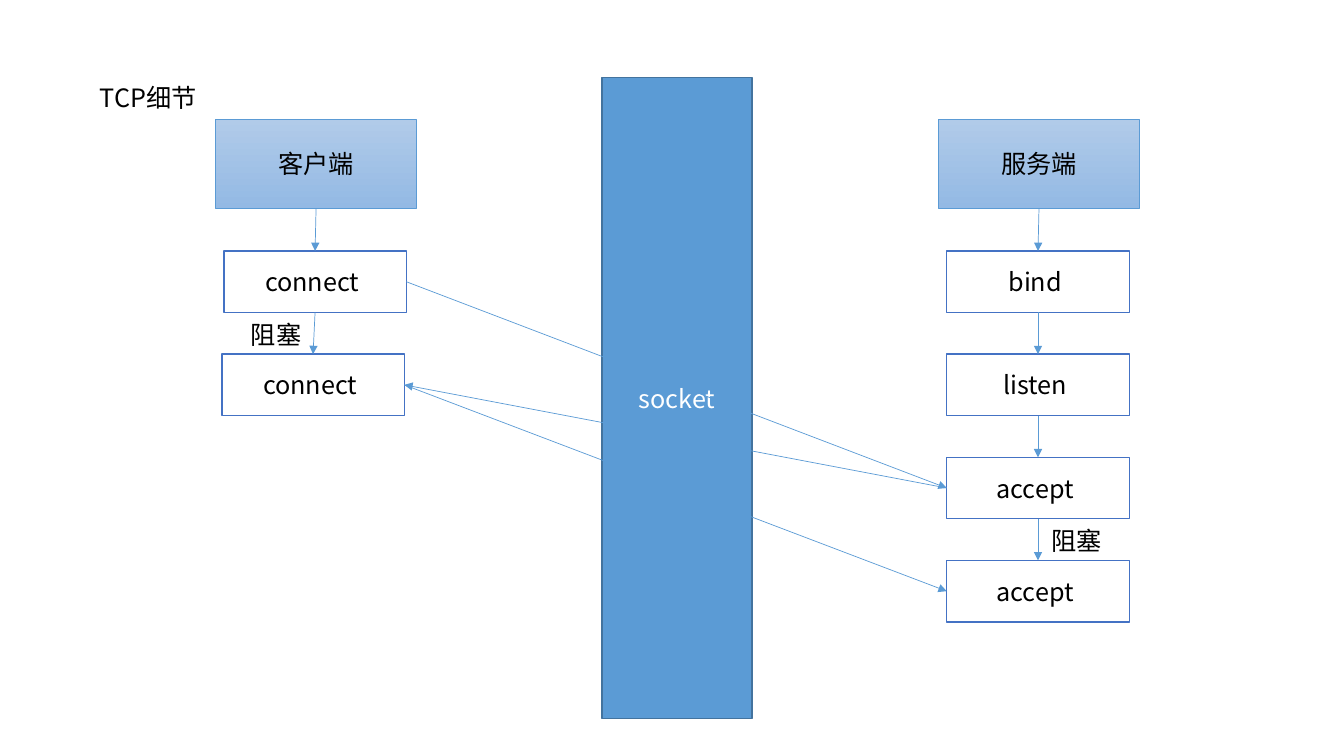
from collections import namedtuple
from dataclasses import dataclass
from lxml import etree
from pptx import Presentation
from pptx import util as u
from pptx.dml.color import RGBColor
from pptx.enum import shapes, text
from pptx.oxml.ns import qn

Box = namedtuple("Box", "left top width height")
TOP, LEFT, BOTTOM, RIGHT = range(4)


@dataclass(frozen=True)
class Theme:
    font: str = "Noto Sans CJK SC"
    size: int = 18
    ink: str = "000000"
    paper: str = "FFFFFF"
    accent: str = "5B9BD5"
    socket_edge: str = "43739E"
    step_edge: str = "4472C4"
    header_top: str = "B1CBE9"
    header_bottom: str = "93B9E4"
    thin: float = 0.5
    medium: float = 1


THEME = Theme()


def colour(code):
    return RGBColor.from_string(code)


def lengths(box):
    return [u.Inches(value) for value in box]


def write(frame, wording, ink=THEME.ink, align=text.PP_ALIGN.LEFT):
    frame.word_wrap = True
    para = frame.paragraphs[0]
    para.alignment = align
    span = para.add_run()
    span.text = wording
    span.font.size = u.Pt(THEME.size)
    span.font.name = THEME.font
    span.font.color.rgb = colour(ink)
    properties = span.font._element
    etree.SubElement(properties, qn("a:ea")).set("typeface", THEME.font)


def add_label(page, box, wording):
    label = page.shapes.add_textbox(*lengths(box))
    write(label.text_frame, wording)
    label.text_frame.auto_size = text.MSO_AUTO_SIZE.SHAPE_TO_FIT_TEXT


def add_block(page, box, wording, fills, edge, width, ink=THEME.ink):
    block = page.shapes.add_shape(shapes.MSO_SHAPE.RECTANGLE, *lengths(box))
    block.shadow.inherit = False
    if len(fills) == 1:
        block.fill.solid()
        block.fill.fore_color.rgb = colour(fills[0])
    else:
        block.fill.gradient()
        block.fill.gradient_angle = 270
        for stop, code in zip(block.fill.gradient_stops, fills):
            stop.color.rgb = colour(code)
    block.line.color.rgb = colour(edge)
    block.line.width = u.Pt(width)
    block.text_frame.vertical_anchor = text.MSO_ANCHOR.MIDDLE
    write(block.text_frame, wording, ink, text.PP_ALIGN.CENTER)
    return block


def add_arrow(page, start, start_side, end, end_side):
    arrow = page.shapes.add_connector(shapes.MSO_CONNECTOR.STRAIGHT, 0, 0, 0, 0)
    arrow.begin_connect(start, start_side)
    arrow.end_connect(end, end_side)
    arrow.line.color.rgb = colour(THEME.accent)
    arrow.line.width = u.Pt(THEME.thin)
    outline = arrow.line._get_or_add_ln()
    etree.SubElement(outline, qn("a:tailEnd")).set("type", "triangle")
    etree.SubElement(arrow._element.spPr, qn("a:effectLst"))


def add_endpoint(page, box, title, steps):
    header_height, step_height, step_width = 0.89, 0.61, 1.81
    first_top = 1.31
    pitch = (box.height - first_top - step_height) / 3
    header = add_block(page, box._replace(height=header_height), title,
                       (THEME.header_top, THEME.header_bottom),
                       THEME.accent, THEME.thin)
    blocks = [header]
    for row, (call, indent) in enumerate(steps):
        place = Box(box.left + indent, box.top + first_top + row * pitch,
                    step_width, step_height)
        block = add_block(page, place, call + " ", (THEME.paper,),
                          THEME.step_edge, THEME.medium)
        add_arrow(page, blocks[-1], BOTTOM, block, TOP)
        blocks.append(block)
    return blocks[1:]


def add_socket(page, box):
    add_block(page, box, "socket", (THEME.accent,), THEME.socket_edge,
              THEME.medium, THEME.paper)


def add_tcp_details(page, box):
    header_top, column_width, column_height = box.top + 0.41, 1.99, 4.99
    client_box = Box(box.left + 1.25, header_top, column_width, column_height)
    server_box = client_box._replace(left=box.left + box.width - column_width)
    add_label(page, Box(box.left, box.top, 1.39, 0.4), "TCP细节")
    add_socket(page, Box(box.left + 5.08, box.top, 1.49, box.height))
    request, reply = add_endpoint(page, client_box, "客户端",
                                  [("connect", 0.08), ("connect", 0.06)])
    calls = ("bind", "listen", "accept", "accept")
    server = add_endpoint(page, server_box, "服务端",
                          [(call, 0.08) for call in calls])
    accept, accepted = server[2:]
    for column, across, down in ((client_box, 0.25, 1.94),
                                 (server_box, 1.02, 3.98)):
        add_label(page, Box(column.left + across, column.top + down, 0.96, 0.4),
                  "阻塞")
    add_arrow(page, request, RIGHT, accept, LEFT)
    add_arrow(page, accept, LEFT, reply, RIGHT)
    add_arrow(page, reply, RIGHT, accepted, LEFT)


deck = Presentation()
deck.slide_width, deck.slide_height = u.Inches(13.33), u.Inches(7.5)
page = deck.slides.add_slide(deck.slide_layouts[6])
add_tcp_details(page, Box(0.89, 0.77, 10.41, 6.36))
deck.save("out.pptx")
